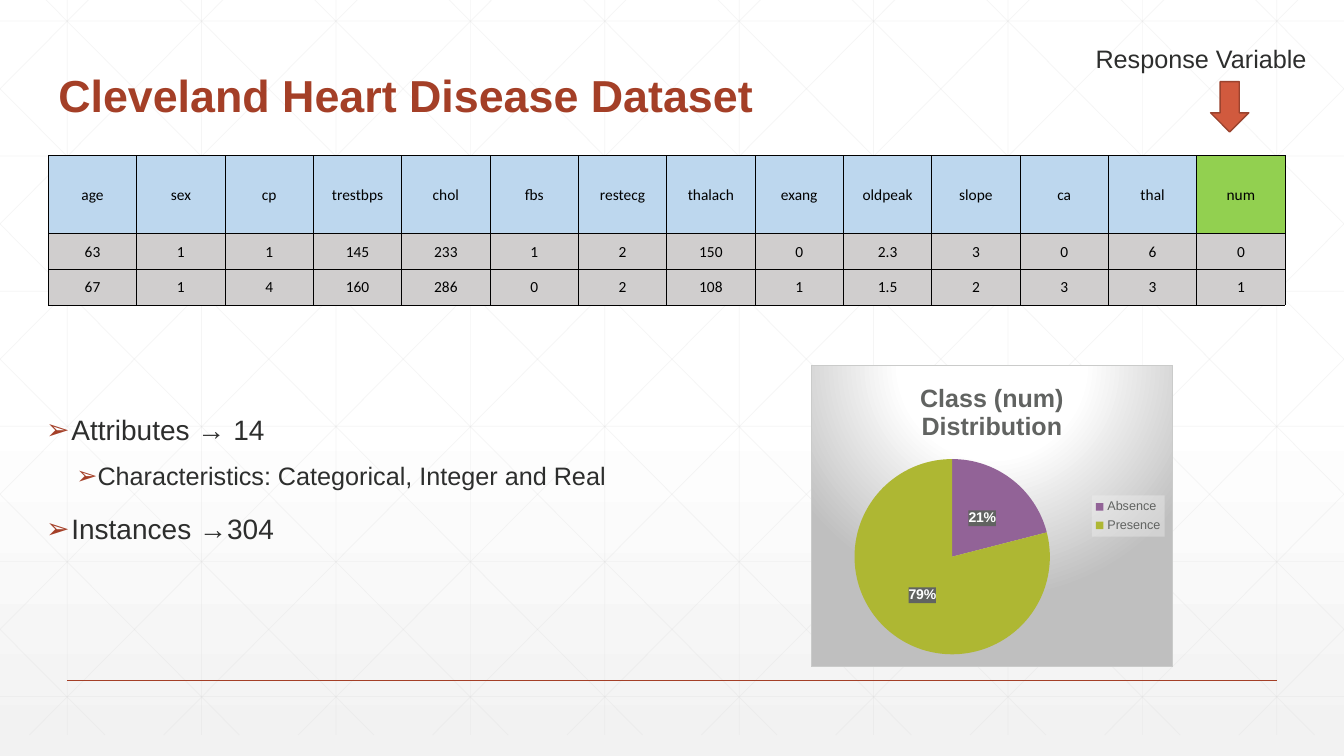
"""Build a slide that introduces the Cleveland heart disease dataset."""
from lxml.etree import SubElement
from pptx import Presentation
from pptx.chart.data import CategoryChartData
from pptx.dml.color import RGBColor
from pptx.enum.chart import XL_CHART_TYPE, XL_LABEL_POSITION, XL_LEGEND_POSITION
from pptx.enum.shapes import MSO_CONNECTOR, MSO_SHAPE
from pptx.enum.text import MSO_ANCHOR, PP_ALIGN
from pptx.oxml.ns import qn
from pptx.util import Pt

WHITE = RGBColor(0xFF, 0xFF, 0xFF)
BLACK = RGBColor(0x00, 0x00, 0x00)
INK = RGBColor(0x2D, 0x2E, 0x2D)
CHART_GREY = RGBColor(0x61, 0x63, 0x61)
CHART_EDGE = RGBColor(0xCA, 0xCB, 0xCA)
CHART_SHADE = RGBColor(0xBF, 0xBF, 0xBF)
LATTICE_GREY = RGBColor(0xD9, 0xD9, 0xD9)
PALE_GREY = RGBColor(0xF2, 0xF2, 0xF2)
RUST = RGBColor(0xA4, 0x3F, 0x27)
ARROW_FILL = RGBColor(0xD1, 0x5A, 0x3E)
ARROW_EDGE = RGBColor(0x9B, 0x43, 0x2E)
HEADER_BLUE = RGBColor(0xBD, 0xD7, 0xEE)
RESPONSE_GREEN = RGBColor(0x92, 0xD0, 0x50)
ROW_GREY = RGBColor(0xD0, 0xCE, 0xCE)
PURPLE = RGBColor(0x92, 0x63, 0x97)
OLIVE = RGBColor(0xAE, 0xB7, 0x33)

WIDTH, HEIGHT = 960, 540
LATTICE_TOP, LATTICE_BOTTOM = -15, 525
LATTICE_STEP, DIAGONAL_RUN = 96, 537

RECORDS = [
    ["age", "sex", "cp", "trestbps", "chol", "fbs", "restecg", "thalach",
     "exang", "oldpeak", "slope", "ca", "thal", "num"],
    ["63", "1", "1", "145", "233", "1", "2", "150", "0", "2.3", "3", "0", "6", "0"],
    ["67", "1", "4", "160", "286", "0", "2", "108", "1", "1.5", "2", "3", "3", "1"],
]
FACTS = [
    ("Attributes → 14", 0),
    ("Characteristics: Categorical, Integer and Real", 1),
    ("Instances →304", 0),
]
FACT_LEVELS = [(20, 18, 18, 18), (18, 12, 36, 14.4)]


def add_xml(parent, tag, **attributes):
    """Append an element with the given attributes."""
    return SubElement(parent, qn(tag), {key: str(value) for key, value in attributes.items()})


def add_solid(parent, color, opacity=100):
    """Append a solid fill of the given opacity in percent."""
    tint = add_xml(add_xml(parent, "a:solidFill"), "a:srgbClr", val=color)
    add_xml(tint, "a:alpha", val=opacity * 1000)


def add_gradient(parent, stops):
    """Append a gradient fill made of position, colour and opacity stops."""
    gradient = add_xml(parent, "a:gradFill", rotWithShape=1)
    stop_list = add_xml(gradient, "a:gsLst")
    for position, color, opacity in stops:
        stop = add_xml(stop_list, "a:gs", pos=position * 1000)
        tint = add_xml(stop, "a:srgbClr", val=color)
        add_xml(tint, "a:alpha", val=opacity * 1000)
    return gradient


def paint_background(page):
    """Fade the page from white to pale grey downwards."""
    page.background.fill.solid()
    properties = page._element.cSld.find(qn("p:bg")).find(qn("p:bgPr"))
    properties.remove(properties.find(qn("a:solidFill")))
    gradient = add_gradient(properties, [(0, WHITE, 100), (53, WHITE, 100), (100, PALE_GREY, 65)])
    add_xml(gradient, "a:lin", ang=5400000, scaled=0)
    properties.insert(0, gradient)


def add_line(page, start, end, color, weight, opacity=100):
    """Draw a straight line between two points."""
    line = page.shapes.add_connector(MSO_CONNECTOR.STRAIGHT, *map(Pt, start + end))
    line.line.color.rgb = color
    line.line.width = Pt(weight)
    properties = line._element.spPr
    add_xml(properties.find(".//" + qn("a:srgbClr")), "a:alpha", val=opacity * 1000)
    add_xml(properties, "a:effectLst")


def diagonal_ends(top_x):
    """Return the ends of a falling diagonal, cut at the page sides."""
    slope = (LATTICE_BOTTOM - LATTICE_TOP) / DIAGONAL_RUN
    left, right = max(top_x, 0), min(top_x + DIAGONAL_RUN, WIDTH)
    return [(x, LATTICE_TOP + (x - top_x) * slope) for x in (left, right)]


def add_lattice(page):
    """Draw the faint grid and its mirrored diagonals."""
    lines = [((x, LATTICE_TOP), (x, LATTICE_BOTTOM)) for x in range(48, WIDTH, LATTICE_STEP)]
    lines += [((0, 15 + 96.5 * row), (WIDTH, 15 + 96.5 * row)) for row in range(6)]
    for step in range(-5, 10):
        start, end = diagonal_ends(18 + LATTICE_STEP * step)
        lines += [(start, end), ((WIDTH - start[0], start[1]), (WIDTH - end[0], end[1]))]
    for start, end in lines:
        add_line(page, start, end, LATTICE_GREY, 0.5, 25)


def add_box(page, left, top, width, height, anchor=MSO_ANCHOR.TOP, wrap=True):
    """Add an empty text box and return its text frame."""
    box = page.shapes.add_textbox(Pt(left), Pt(top), Pt(width), Pt(height))
    box.text_frame.word_wrap = wrap
    box.text_frame.vertical_anchor = anchor
    return box.text_frame


def style_font(font, size, color, bold=False, name="Arial"):
    """Set the size, colour, weight and typeface of a font."""
    font.size = Pt(size)
    font.color.rgb = color
    font.bold = bold
    font.name = name


def add_span(para, text, *style):
    """Add one styled run to a paragraph."""
    span = para.add_run()
    span.text = text
    style_font(span.font, *style)


def add_facts(page):
    """List the dataset facts with arrow bullets."""
    frame = add_box(page, 25.92, 293.76, 462, 121)
    for index, (text, level) in enumerate(FACTS):
        size, space, margin, hanging = FACT_LEVELS[level]
        para = frame.add_paragraph() if index else frame.paragraphs[0]
        para.level = level
        para.line_spacing = 0.9
        para.space_before = Pt(space if index else 0)
        properties = para._p.get_or_add_pPr()
        properties.set("marL", str(Pt(margin)))
        properties.set("indent", str(-Pt(hanging)))
        add_xml(add_xml(properties, "a:buClr"), "a:srgbClr", val=RUST)
        add_xml(properties, "a:buFont", typeface="Arial")
        add_xml(properties, "a:buChar", char="➢")
        add_span(para, text, size, INK)


def fill_cell(cell, text, color):
    """Write a centred value in a bordered cell."""
    cell.margin_left = cell.margin_right = cell.margin_top = Pt(0.72)
    cell.margin_bottom = Pt(0)
    cell.vertical_anchor = MSO_ANCHOR.MIDDLE
    para = cell.text_frame.paragraphs[0]
    para.alignment = PP_ALIGN.CENTER
    add_span(para, text, 11, BLACK, False, "Calibri")
    properties = cell._tc.get_or_add_tcPr()
    for side in ("a:lnL", "a:lnR", "a:lnT", "a:lnB"):
        add_solid(add_xml(properties, side, w=Pt(0.5)), BLACK)
    cell.fill.solid()
    cell.fill.fore_color.rgb = color


def add_records(page):
    """Add the table of attributes and sample records."""
    columns = len(RECORDS[0])
    frame = page.shapes.add_table(len(RECORDS), columns, Pt(34.56), Pt(111), Pt(883.4), Pt(107))
    table = frame.table
    for column in table.columns:
        column.width = Pt(63.1)
    for row, height in zip(table.rows, (55.6, 25.7, 25.7)):
        row.height = Pt(height)
    for row, record in enumerate(RECORDS):
        for column, text in enumerate(record):
            header = RESPONSE_GREEN if column == columns - 1 else HEADER_BLUE
            fill_cell(table.cell(row, column), text, ROW_GREY if row else header)


def add_class_pie(page):
    """Add the pie chart of the class distribution."""
    data = CategoryChartData()
    data.categories = ["Absence", "Presence"]
    data.add_series("Series 1", [21, 79])
    chart = page.shapes.add_chart(
        XL_CHART_TYPE.PIE, Pt(579), Pt(260.64), Pt(259.2), Pt(216), data).chart
    style_font(chart.font, 10, INK)
    add_span(chart.chart_title.text_frame.paragraphs[0], "Class (num) Distribution",
             18, CHART_GREY, True)
    chart.has_legend = True
    legend = chart.legend
    legend.position = XL_LEGEND_POSITION.RIGHT
    legend.include_in_layout = False
    style_font(legend.font, 9, CHART_GREY)
    legend_look = add_xml(legend._element, "c:spPr")
    add_solid(legend_look, PALE_GREY, 39)
    legend._element.find(qn("c:txPr")).addprevious(legend_look)

    plot = chart.plots[0]
    plot.vary_by_categories = True
    for index, color in enumerate((PURPLE, OLIVE)):
        fill = plot.series[0].points[index].format.fill
        fill.solid()
        fill.fore_color.rgb = color
    labels = plot.series[0].data_labels
    labels.show_percentage = True
    labels.show_value = False
    labels.number_format, labels.number_format_is_linked = "0%", False
    labels.position = XL_LABEL_POSITION.CENTER
    style_font(labels.font, 10, WHITE, True)
    label_look = add_xml(labels._element, "c:spPr")
    add_solid(label_look, CHART_GREY)
    labels._element.find(qn("c:txPr")).addprevious(label_look)

    area = chart._chartSpace.chart.plotArea
    for old in area.findall(qn("c:layout")):
        area.remove(old)
    layout = add_xml(area, "c:layout")
    manual = add_xml(layout, "c:manualLayout")
    for tag, value in (("layoutTarget", "inner"), ("xMode", "edge"), ("yMode", "edge"),
                       ("x", 0.12), ("y", 0.31), ("w", 0.54), ("h", 0.65)):
        add_xml(manual, "c:" + tag, val=value)
    area.insert(0, layout)

    look = add_xml(chart._chartSpace, "c:spPr")
    gradient = add_gradient(look, [(0, WHITE, 100), (39, WHITE, 100), (100, CHART_SHADE, 100)])
    circle = add_xml(gradient, "a:path", path="circle")
    add_xml(circle, "a:fillToRect", l=50000, t=-80000, r=50000, b=180000)
    add_solid(add_xml(look, "a:ln", w=Pt(0.75)), CHART_EDGE)
    chart._chartSpace.chart.addnext(look)


def add_response_arrow(page):
    """Point an arrow at the response column."""
    arrow = page.shapes.add_shape(MSO_SHAPE.DOWN_ARROW, Pt(864.72), Pt(58.32), Pt(27.36), Pt(36))
    arrow.shadow.inherit = False
    arrow.fill.solid()
    arrow.fill.fore_color.rgb = ARROW_FILL
    arrow.line.color.rgb = ARROW_EDGE
    arrow.line.width = Pt(1)


def main():
    """Assemble and save the slide."""
    deck = Presentation()
    deck.slide_width, deck.slide_height = Pt(WIDTH), Pt(HEIGHT)
    page = deck.slides.add_slide(deck.slide_layouts[6])
    paint_background(page)
    add_lattice(page)
    add_line(page, (48, 486), (912, 486), RUST, 1)
    title = add_box(page, 34.56, 39.6, 756, 51.12, MSO_ANCHOR.BOTTOM).paragraphs[0]
    title.line_spacing = 0.9
    add_span(title, "Cleveland Heart Disease Dataset", 32, RUST, True)
    add_facts(page)
    add_records(page)
    add_class_pie(page)
    caption = add_box(page, 775.44, 27.36, 166.32, 28.8, wrap=False).paragraphs[0]
    add_span(caption, "Response Variable", 18, INK)
    add_response_arrow(page)
    deck.save("out.pptx")


if __name__ == "__main__":
    main()
